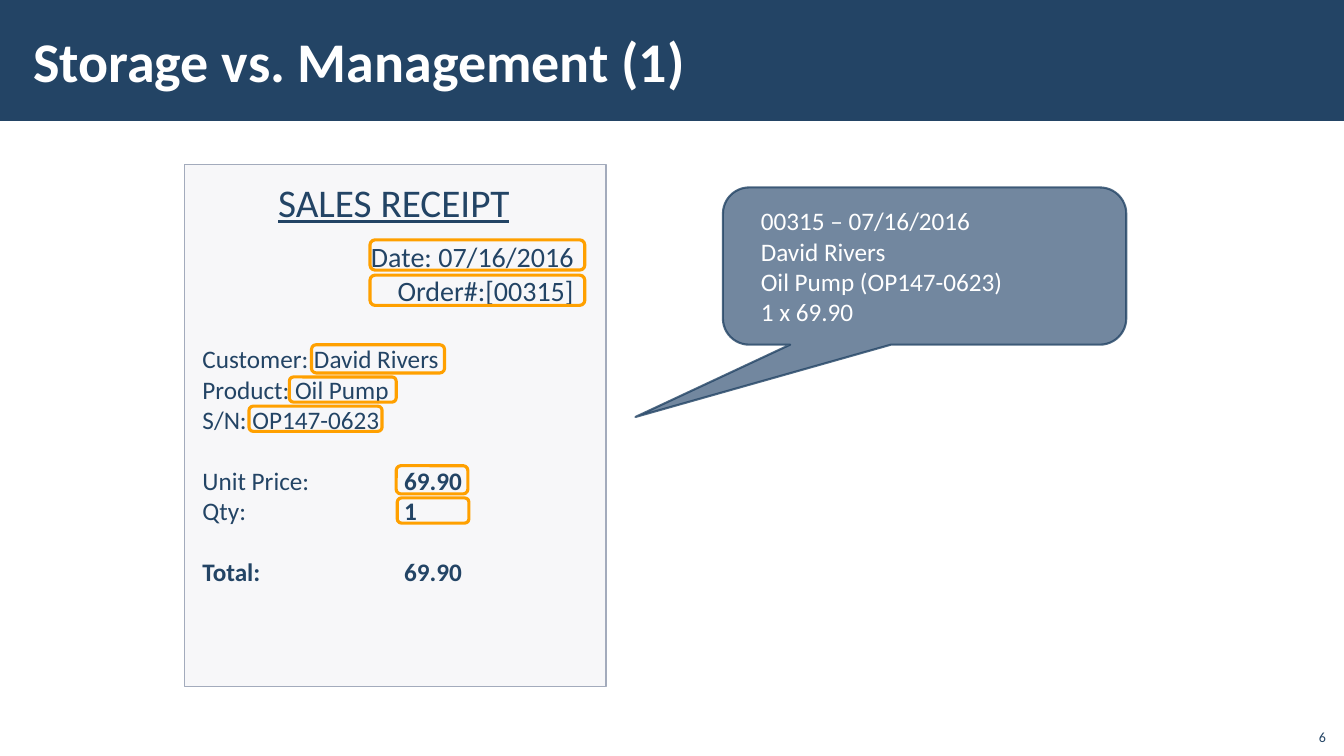
"""Build the slide that contrasts a sales receipt with its recorded data."""
from dataclasses import dataclass

from lxml.etree import SubElement
from pptx import Presentation
from pptx.dml.color import RGBColor
from pptx.enum.shapes import MSO_SHAPE as Shape
from pptx.enum.text import MSO_ANCHOR as Anchor, PP_ALIGN as Align
from pptx.oxml.ns import qn
from pptx.util import Inches, Pt

TITLE = "Storage vs. Management (1)"
HEADING = "SALES RECEIPT"
ORDER = ["Date: 07/16/2016", "Order#:[00315]"]
DETAIL_GROUPS = [
    [[("Customer: David Rivers", False)],
     [("Product: Oil Pump", False)],
     [("S/N: OP147-0623", False)]],
    [[("Unit Price:\t", False), ("69.90", True)],
     [("Qty:\t", False), ("1", True)]],
    [[("Total:\t69.90", True)]],
]
RECORD = ["00315 – 07/16/2016", "David Rivers", "Oil Pump (OP147-0623)", "1 x 69.90"]
PAGE_NUMBER = "6"

WIDTH, HEIGHT = Inches(13.33), Inches(7.5)
AREAS = {
    "band": (0, 0, 100, 16),
    "title": (1.58, 1.47, 79.74, 12.93),
    "receipt": (13.73, 21.73, 31.36, 69.07),
    "heading": (19.95, 22.93, 18.9, 7.6),
    "order": (26.33, 31.07, 17.1, 14.8),
    "details": (14.33, 44.8, 30.16, 33.6),
    "callout": (53.79, 24.8, 30.01, 20.8),
    "number": (96.4, 94.93, 3, 4.27),
}
HIGHLIGHTS = {
    "date": (27.53, 31.73, 15.98, 4),
    "order number": (27.53, 36.4, 15.98, 4),
    "customer": (23.18, 45.6, 9.9, 3.73),
    "product": (21.53, 49.87, 7.95, 3.33),
    "serial number": (18.53, 53.73, 9.9, 3.33),
    "unit price": (29.48, 61.6, 5.33, 3.73),
    "quantity": (29.56, 65.87, 5.33, 3.33),
}


@dataclass(frozen=True)
class Theme:
    font: str = "Calibri"
    navy: str = "234465"
    white: str = "FFFFFF"
    paper: str = "E9EBEF"
    edge: str = "A3ABBC"
    slate: str = "4F6987"
    mark: str = "FFA000"
    title: int = 40
    heading: int = 28
    order: int = 20
    body: int = 18
    number: int = 10
    group_gap: int = 22


THEME = Theme()


def place(area):
    """Turn percentage shares of the slide into lengths."""
    return [round(share * full / 100) for share, full in zip(area, (WIDTH, HEIGHT) * 2)]


def paint(fill, color, alpha=100):
    """Apply a solid colour with an opacity in percent."""
    fill.solid()
    fill.fore_color.rgb = RGBColor.from_string(color)
    if alpha < 100:
        tone = fill._xPr.find(qn("a:solidFill"))[0]
        SubElement(tone, qn("a:alpha"), val=str(alpha * 1000))


def add_panel(page, kind, area, fill=None, line=None, weight=1, fill_alpha=100, line_alpha=100):
    """Add a preset shape without shadow."""
    panel = page.shapes.add_shape(kind, *place(area))
    panel.shadow.inherit = False
    if fill:
        paint(panel.fill, fill, fill_alpha)
    else:
        panel.fill.background()
    if line:
        paint(panel.line.fill, line, line_alpha)
        panel.line.width = Pt(weight)
    else:
        panel.line.fill.background()
    return panel


def write(para, spans, size, color=THEME.navy, align=Align.LEFT, underline=False):
    """Write (text, bold) spans into a paragraph."""
    para.alignment = align
    for text, bold in spans:
        span = para.add_run()
        span.text = text
        span.font.name = THEME.font
        span.font.size = Pt(size)
        span.font.bold = bold
        span.font.underline = underline
        span.font.color.rgb = RGBColor.from_string(color)


def paragraphs(frame, count):
    """Return the given number of paragraphs of an empty frame."""
    return [frame.paragraphs[0]] + [frame.add_paragraph() for _ in range(count - 1)]


def add_text(page, area, lines, size, wrap=True, anchor=Anchor.TOP, bold=False, **style):
    """Add a text box with one paragraph a line."""
    box = page.shapes.add_textbox(*place(area))
    frame = box.text_frame
    frame.word_wrap = wrap
    frame.vertical_anchor = anchor
    for para, line in zip(paragraphs(frame, len(lines)), lines):
        write(para, [(line, bold)], size, **style)
    return frame


def add_details(page):
    """Add the receipt lines, with values on a tab stop and gaps between groups."""
    frame = page.shapes.add_textbox(*place(AREAS["details"])).text_frame
    frame.word_wrap = True
    lines = [(line, group > 0 and row == 0)
             for group, rows in enumerate(DETAIL_GROUPS) for row, line in enumerate(rows)]
    for para, (spans, opens_group) in zip(paragraphs(frame, len(lines)), lines):
        if opens_group:
            para.space_before = Pt(THEME.group_gap)
        stops = SubElement(para._p.get_or_add_pPr(), qn("a:tabLst"))
        SubElement(stops, qn("a:tab"), pos=str(Inches(2)), algn="l")
        write(para, spans, THEME.body)


def add_callout(page):
    """Add the speech bubble that holds the recorded data."""
    callout = add_panel(page, Shape.ROUNDED_RECTANGULAR_CALLOUT, AREAS["callout"],
                        THEME.slate, THEME.navy, 1.5, 80, 80)
    for index, value in enumerate((-0.717, 0.96, 0.167)):
        callout.adjustments[index] = value
    frame = callout.text_frame
    frame.word_wrap = True
    frame.vertical_anchor = Anchor.MIDDLE
    frame.margin_left = frame.margin_right = Inches(0.3)
    frame.margin_top = frame.margin_bottom = Inches(0.1)
    for para, line in zip(paragraphs(frame, len(RECORD)), RECORD):
        write(para, [(line, False)], THEME.body, THEME.white)


def main():
    """Assemble and save the slide."""
    deck = Presentation()
    deck.slide_width, deck.slide_height = WIDTH, HEIGHT
    page = deck.slides.add_slide(deck.slide_layouts[6])
    add_panel(page, Shape.RECTANGLE, AREAS["band"], THEME.navy)
    title = add_text(page, AREAS["title"], [TITLE], THEME.title, anchor=Anchor.MIDDLE,
                     bold=True, color=THEME.white)
    title.margin_left = title.margin_right = Inches(0.12)
    add_panel(page, Shape.RECTANGLE, AREAS["receipt"], THEME.paper, THEME.edge, fill_alpha=36)
    add_text(page, AREAS["heading"], [HEADING], THEME.heading, wrap=False, underline=True)
    add_text(page, AREAS["order"], ORDER, THEME.order, align=Align.RIGHT)
    add_details(page)
    add_callout(page)
    for area in HIGHLIGHTS.values():
        add_panel(page, Shape.ROUNDED_RECTANGLE, area, line=THEME.mark, weight=2.25)
    add_text(page, AREAS["number"], [PAGE_NUMBER], THEME.number, anchor=Anchor.BOTTOM,
             align=Align.RIGHT)
    deck.save("out.pptx")


if __name__ == "__main__":
    main()
